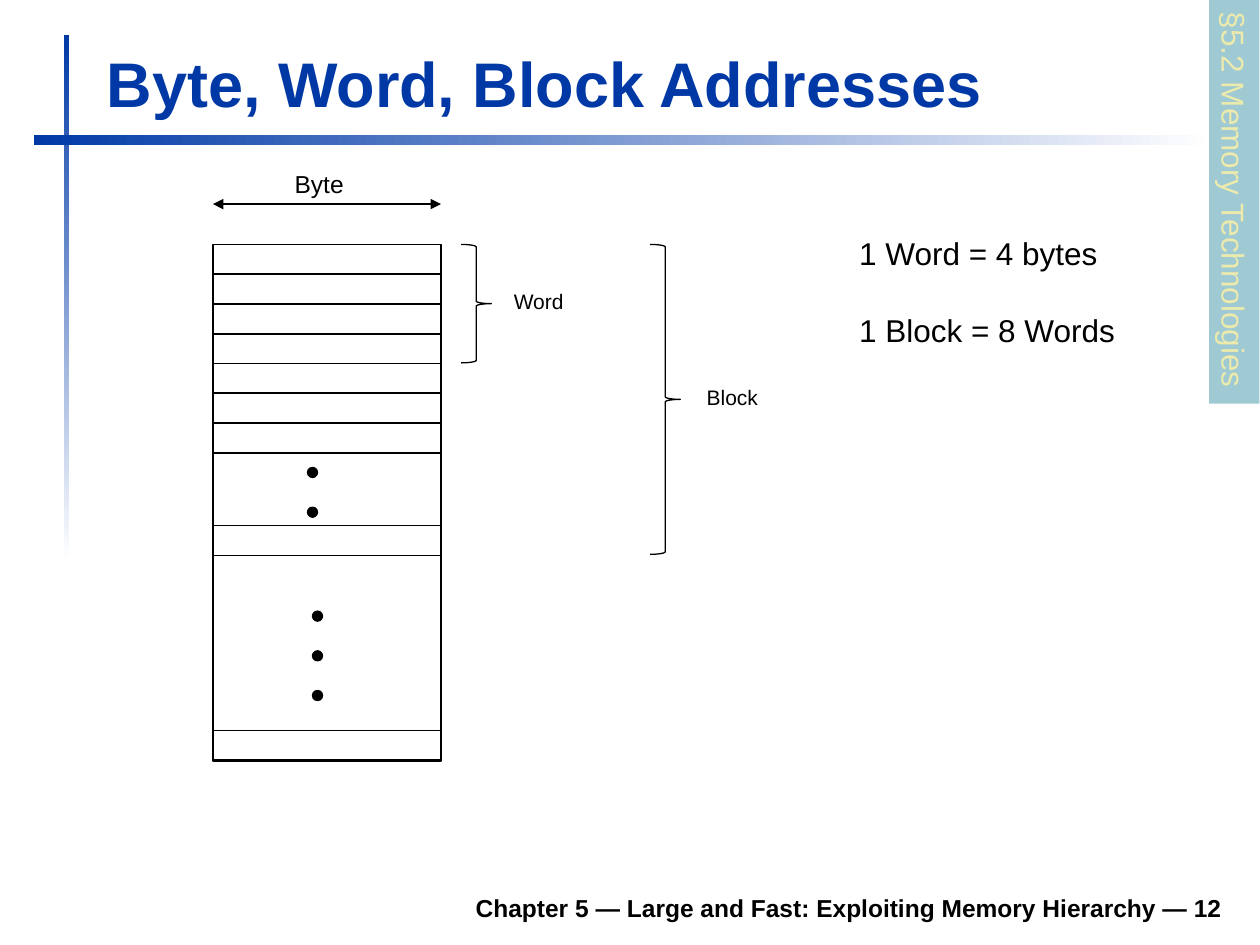
from dataclasses import dataclass

from lxml.etree import SubElement
from pptx import Presentation
from pptx.dml.color import RGBColor
from pptx.enum.shapes import MSO_CONNECTOR, MSO_SHAPE
from pptx.enum.text import MSO_ANCHOR, PP_ALIGN
from pptx.oxml.ns import qn
from pptx.util import Inches, Pt

COLORS = {
    "blue": "0039A6",
    "white": "FFFFFF",
    "black": "000000",
    "teal": "9FCAD3",
    "cream": "ECEAAC",
}
MEMORY_LEFT, MEMORY_TOP, MEMORY_WIDTH = 1.69, 1.94, 1.81
ROW_HEIGHT, ROW_PITCH = 0.24, 0.236
DOT_SIZE, DOT_PITCH = 0.08, 0.315


@dataclass
class Box:
    left: float
    top: float
    width: float
    height: float

    def lengths(self) -> tuple:
        return tuple(Inches(v) for v in (self.left, self.top, self.width, self.height))


@dataclass
class Label:
    box: Box
    lines: tuple
    size: int
    color: str = "black"
    bold: bool = False
    align: PP_ALIGN = PP_ALIGN.LEFT
    anchor: MSO_ANCHOR = MSO_ANCHOR.TOP
    wrap: bool = True
    gap: int = 0


@dataclass
class Dots:
    left: float
    top: float
    count: int


def rgb(name: str) -> RGBColor:
    return RGBColor.from_string(COLORS[name])


def write_text(shape, label: Label) -> None:
    text_frame = shape.text_frame
    text_frame.text = "\n".join(label.lines)
    text_frame.word_wrap = label.wrap
    text_frame.vertical_anchor = label.anchor
    for index, paragraph in enumerate(text_frame.paragraphs):
        paragraph.alignment = label.align
        if index and label.gap:
            paragraph.space_before = Pt(label.gap)
        for run in paragraph.runs:
            run.font.name = "Arial"
            run.font.size = Pt(label.size)
            run.font.bold = label.bold
            run.font.color.rgb = rgb(label.color)


def add_label(slide, label: Label) -> None:
    write_text(slide.shapes.add_textbox(*label.box.lengths()), label)


def add_shape(slide, kind: MSO_SHAPE, box: Box, fill: str = "", line: str = ""):
    shape = slide.shapes.add_shape(kind, *box.lengths())
    shape.shadow.inherit = False
    if fill:
        shape.fill.solid()
        shape.fill.fore_color.rgb = rgb(fill)
    else:
        shape.fill.background()
    if line:
        shape.line.color.rgb = rgb(line)
        shape.line.width = Pt(0.75)
    else:
        shape.line.fill.background()
    return shape


def add_gradient_bar(slide, box: Box, angle: int) -> None:
    bar = add_shape(slide, MSO_SHAPE.RECTANGLE, box)
    bar.fill.gradient()
    bar.fill.gradient_angle = angle
    for stop, color in zip(bar.fill.gradient_stops, ("blue", "white")):
        stop.color.rgb = rgb(color)


def add_double_arrow(slide, left: float, right: float, y: float) -> None:
    arrow = slide.shapes.add_connector(
        MSO_CONNECTOR.STRAIGHT, Inches(left), Inches(y), Inches(right), Inches(y))
    arrow.line.color.rgb = rgb("black")
    arrow.line.width = Pt(0.75)
    line_element = arrow.line._get_or_add_ln()
    for end in ("a:headEnd", "a:tailEnd"):
        SubElement(line_element, qn(end), type="triangle")
    SubElement(arrow._element.spPr, qn("a:effectLst"))


def add_memory_cell(slide, top: float, height: float = ROW_HEIGHT) -> None:
    box = Box(MEMORY_LEFT, top, MEMORY_WIDTH, height)
    add_shape(slide, MSO_SHAPE.RECTANGLE, box, line="black")


def add_dots(slide, dots: Dots) -> None:
    for index in range(dots.count):
        box = Box(dots.left, dots.top + index * DOT_PITCH, DOT_SIZE, DOT_SIZE)
        add_shape(slide, MSO_SHAPE.OVAL, box, "black", "black")


def main() -> None:
    presentation = Presentation()
    presentation.slide_width = Inches(10)
    presentation.slide_height = Inches(7.5)
    slide = presentation.slides.add_slide(presentation.slide_layouts[6])

    # Crossed gradient bars, footer and title
    add_gradient_bar(slide, Box(0.51, 0.28, 0.04, 4.17), 270)
    add_gradient_bar(slide, Box(0.27, 1.07, 9.37, 0.08), 0)
    add_label(slide, Label(
        Box(1.85, 6.98, 7.95, 0.39),
        ("Chapter 5 — Large and Fast: Exploiting Memory Hierarchy — 12",),
        14, bold=True, align=PP_ALIGN.RIGHT, anchor=MSO_ANCHOR.BOTTOM))
    add_label(slide, Label(
        Box(0.75, 0.29, 9.03, 0.71), ("Byte, Word, Block Addresses",),
        36, "blue", bold=True, anchor=MSO_ANCHOR.BOTTOM))

    # Section tab on the right edge
    tab_box = Box(8.19, 1.4, 3.21, 0.4)
    tab = add_shape(slide, MSO_SHAPE.RECTANGLE, tab_box, "teal")
    tab.rotation = 90
    write_text(tab, Label(
        tab_box, ("§5.2 Memory Technologies",), 18, "cream", wrap=False))

    # Memory column: seven bytes, the remaining space, end of block, last byte
    for row in range(7):
        add_memory_cell(slide, MEMORY_TOP + row * ROW_PITCH)
    add_memory_cell(slide, MEMORY_TOP + 7 * ROW_PITCH, 2.44)
    for top in (4.17, 5.8):
        add_memory_cell(slide, top)
    for dots in (Dots(2.44, 3.71, 2), Dots(2.48, 4.85, 3)):
        add_dots(slide, dots)

    # Byte width arrow, then word and block braces
    add_double_arrow(slide, MEMORY_LEFT, MEMORY_LEFT + MEMORY_WIDTH, 1.62)
    for left, height in ((3.66, 0.94), (5.16, 2.46)):
        add_shape(slide, MSO_SHAPE.RIGHT_BRACE,
                  Box(left, MEMORY_TOP, 0.24, height), "white", "black")

    # Labels and size definitions
    for label in (
        Label(Box(2.24, 1.29, 0.63, 0.34), ("Byte",), 14),
        Label(Box(3.98, 2.24, 0.6, 0.3), ("Word",), 12, wrap=False),
        Label(Box(5.51, 3, 0.61, 0.3), ("Block",), 12, wrap=False),
        Label(Box(6.72, 1.81, 2.25, 1.01),
              ("1 Word = 4 bytes", "1 Block = 8 Words"), 18, wrap=False, gap=22),
    ):
        add_label(slide, label)

    presentation.save("out.pptx")


if __name__ == "__main__":
    main()
